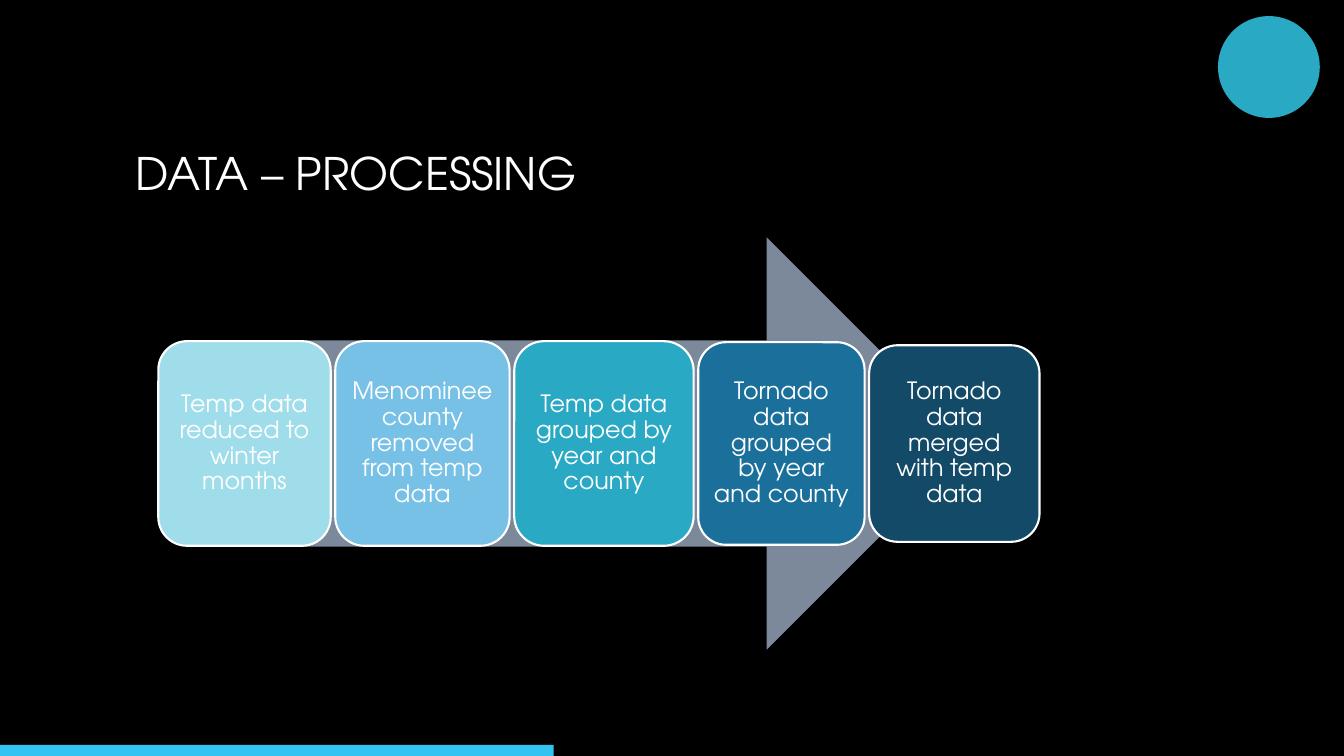
import pptx
import pptx.util
import pptx.dml.color
import pptx.enum.shapes
import pptx.enum.text

TITLE = "DATA – PROCESSING"
STEPS = [
    ("Temp data reduced to winter months", "A0DDEB", 1.71, 2.03),
    ("Menominee county removed from temp data", "77C1E7", 1.73, 2.03),
    ("Temp data grouped by year and county", "2AA9C4", 1.78, 2.03),
    ("Tornado data grouped by year and county", "1B709B", 1.65, 2.01),
    ("Tornado data merged with temp data", "124A68", 1.69, 1.95),
]
FONT = "TeX Gyre Adventor"
WIDTH, HEIGHT = 13.33, 7.5
STEPS_LEFT, STEP_GAP, MIDDLE = 1.57, 0.045, 4.4
ARROW_LEFT, ARROW_WIDTH, ARROW_HEIGHT = 2.22, 7.43, 4.09

Inches, Pt = pptx.util.Inches, pptx.util.Pt
SHAPE = pptx.enum.shapes.MSO_SHAPE
ALIGN = pptx.enum.text.PP_ALIGN


def color(value):
    return pptx.dml.color.RGBColor.from_string(value)


def add_shape(s, kind, left, top, width, height, fill, line=None):
    sp = s.shapes.add_shape(kind, *map(Inches, (left, top, width, height)))
    sp.shadow.inherit = False
    sp.fill.solid()
    sp.fill.fore_color.rgb = color(fill)
    if line:
        sp.line.color.rgb = color(line)
        sp.line.width = Pt(1.5)
    else:
        sp.line.fill.background()
    return sp


def write(sp, text, size, align=ALIGN.LEFT, inset=None, spacing=None):
    tf = sp.text_frame
    tf.word_wrap = True
    tf.vertical_anchor = pptx.enum.text.MSO_ANCHOR.MIDDLE
    if inset is not None:
        tf.margin_left = tf.margin_right = Inches(inset)
        tf.margin_top = tf.margin_bottom = Inches(inset)
    p = tf.paragraphs[0]
    p.alignment = align
    p.line_spacing = spacing
    r = p.add_run()
    r.text = text
    r.font.name = FONT
    r.font.size = Pt(size)
    r.font.color.rgb = color("FFFFFF")


def main():
    prs = pptx.Presentation()
    prs.slide_width, prs.slide_height = Inches(WIDTH), Inches(HEIGHT)
    s = prs.slides.add_slide(prs.slide_layouts[6])
    s.background.fill.solid()
    s.background.fill.fore_color.rgb = color("000000")

    title = s.shapes.add_textbox(*map(Inches, (1.25, 0.67, 10.83, 2.08)))
    write(title, TITLE, 32)
    add_shape(s, SHAPE.OVAL, 12.08, 0.16, 1.01, 1.01, "2AA9C4")
    add_shape(s, SHAPE.RECTANGLE, 0, HEIGHT - 0.11, 5.49, 0.11, "31C4F3")
    add_shape(s, SHAPE.RIGHT_ARROW, ARROW_LEFT, MIDDLE - ARROW_HEIGHT / 2,
              ARROW_WIDTH, ARROW_HEIGHT, "7C899A")

    left = STEPS_LEFT
    for text, fill, width, height in STEPS:
        sp = add_shape(s, SHAPE.ROUNDED_RECTANGLE, left, MIDDLE - height / 2,
                       width, height, fill, line="FFFFFF")
        write(sp, text, 17, align=ALIGN.CENTER, inset=0.07, spacing=0.9)
        left += width + STEP_GAP

    prs.save("out.pptx")


if __name__ == "__main__":
    main()
